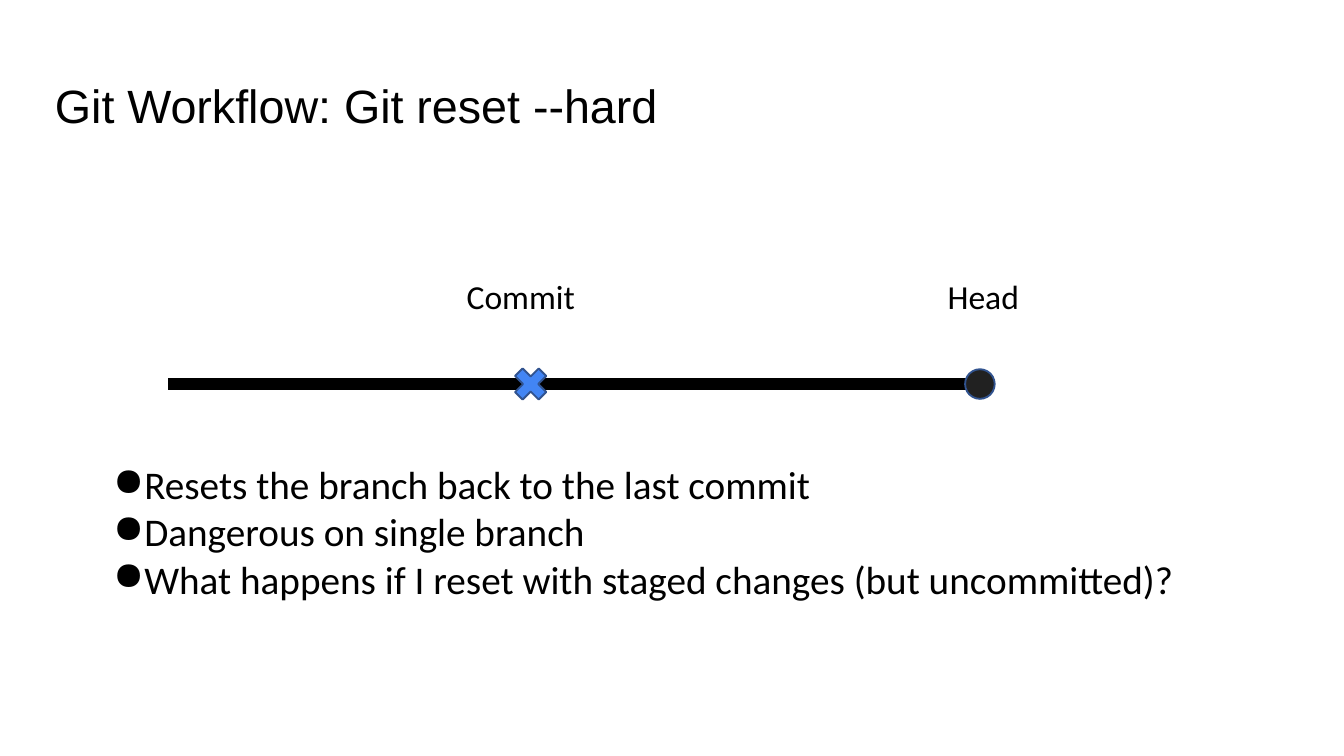
from lxml.etree import SubElement
from pptx import Presentation
from pptx.dml.color import RGBColor
from pptx.enum.shapes import MSO_CONNECTOR, MSO_SHAPE
from pptx.enum.text import MSO_ANCHOR
from pptx.oxml.ns import qn
from pptx.util import Cm, Pt

COLORS = {"text": "000000", "branch": "000000", "commit": "4285F4",
          "head": "212121", "outline": "31538F"}

TITLE = "Git Workflow: Git reset --hard"
BULLETS = [
    "Resets the branch back to the last commit",
    "Dangerous on single branch",
    "What happens if I reset with staged changes (but uncommitted)?",
]
BRANCH_Y = 7.26
BRANCH = [(3.18, 9.93), (10.13, 18.42)]
LABELS = [("Head", 17.73, 2.13), ("Commit", 8.64, 2.57)]
MARKERS = [
    (MSO_SHAPE.MATH_MULTIPLY, 10.03, 0.86, "commit"),
    (MSO_SHAPE.OVAL, 18.52, 0.56, "head"),
]


def color(name):
    return RGBColor.from_string(COLORS[name])


def add_text(s, lines, x, y, w, h, size, font="Calibri"):
    tf = s.shapes.add_textbox(Cm(x), Cm(y), Cm(w), Cm(h)).text_frame
    tf.word_wrap = True
    tf.margin_left = tf.margin_right = Cm(0.18)
    tf.margin_top = tf.margin_bottom = Cm(0.1)
    tf.text = "\n".join(lines)
    for p in tf.paragraphs:
        for r in p.runs:
            r.font.size = Pt(size)
            r.font.name = font
            r.font.color.rgb = color("text")
    return tf


def add_bullet(p):
    pPr = p._p.get_or_add_pPr()
    pPr.set("marL", str(Cm(0.61)))
    pPr.set("indent", str(Cm(-0.58)))
    clr = SubElement(pPr, qn("a:buClr"))
    SubElement(clr, qn("a:srgbClr"), val=COLORS["text"])
    SubElement(pPr, qn("a:buChar"), char="●")


def add_branch(s, x1, x2):
    line = s.shapes.add_connector(
        MSO_CONNECTOR.STRAIGHT, Cm(x1), Cm(BRANCH_Y), Cm(x2), Cm(BRANCH_Y))
    line.line.color.rgb = color("branch")
    line.line.width = Pt(6)
    SubElement(line._element.spPr, qn("a:effectLst"))


def add_marker(s, kind, center, size, fill):
    sp = s.shapes.add_shape(kind, Cm(center - size / 2), Cm(BRANCH_Y - size / 2),
                            Cm(size), Cm(size))
    sp.shadow.inherit = False
    sp.fill.solid()
    sp.fill.fore_color.rgb = color(fill)
    sp.line.color.rgb = color("outline")
    sp.line.width = Pt(1)


def main():
    prs = Presentation()
    prs.slide_width, prs.slide_height = Cm(25.4), Cm(14.29)
    s = prs.slides.add_slide(prs.slide_layouts[6])

    for x1, x2 in BRANCH:
        add_branch(s, x1, x2)
    for marker in MARKERS:
        add_marker(s, *marker)
    for label, x, w in LABELS:
        add_text(s, [label], x, 5.11, w, 0.97, 18)

    tf = add_text(s, BULLETS, 1.93, 8.61, 21.11, 2.9, 21)
    for p in tf.paragraphs:
        add_bullet(p)

    tf = add_text(s, [TITLE], 0.86, 1.24, 23.67, 1.6, 25, "Arial")
    tf.vertical_anchor = MSO_ANCHOR.MIDDLE
    tf.paragraphs[0].line_spacing = 0.9

    prs.save("out.pptx")


if __name__ == "__main__":
    main()
